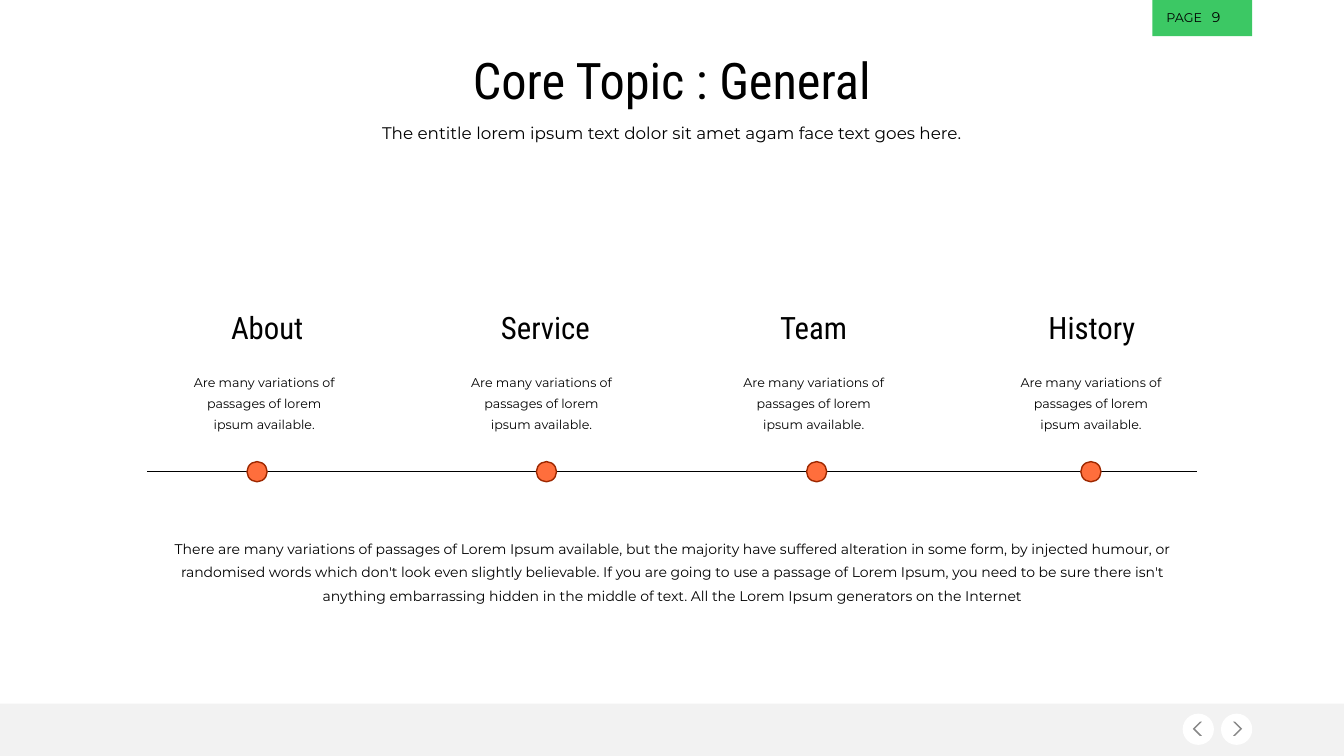
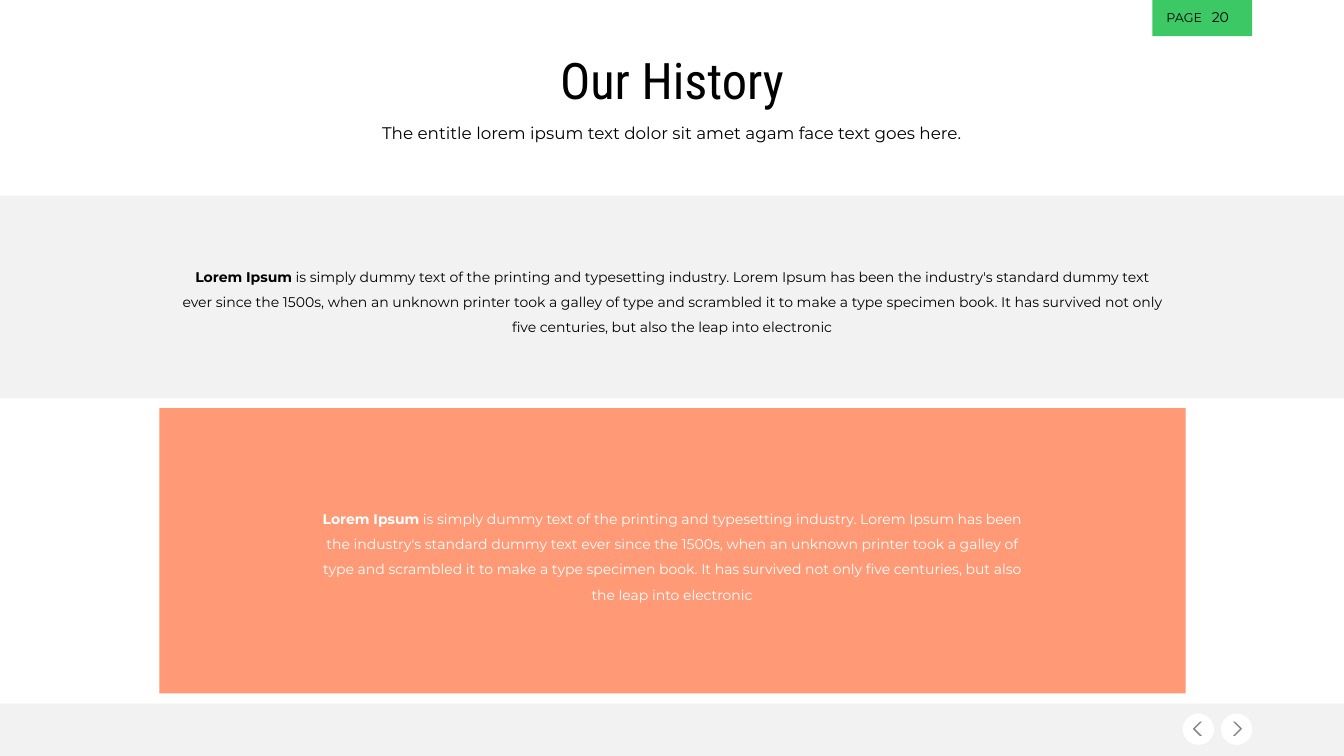
from lxml import etree
from pptx import Presentation
from pptx.dml.color import RGBColor
from pptx.enum.shapes import MSO_CONNECTOR as Connector, MSO_SHAPE as Shape
from pptx.enum.text import MSO_ANCHOR as Anchor, MSO_AUTO_SIZE as AutoSize, PP_ALIGN as Align
from pptx.oxml.ns import qn
from pptx.util import Inches, Pt

# Shared look
WIDTH, HEIGHT = 13.33, 7.5
BLACK = RGBColor(0x00, 0x00, 0x00)
WHITE = RGBColor(0xFF, 0xFF, 0xFF)
GREEN = RGBColor(0x3C, 0xC8, 0x64)
ORANGE = RGBColor(0xFF, 0x6E, 0x3C)
RUST = RGBColor(0x9E, 0x28, 0x00)
GREY = RGBColor(0x87, 0x87, 0x87)
PALE = RGBColor(0xF2, 0xF2, 0xF2)
HEAD_FONT, BODY_FONT = "Roboto Condensed", "Montserrat"
TITLE_FORMAT = {"name": HEAD_FONT, "size": Pt(36)}
HEADING_FORMAT = {"name": HEAD_FONT, "size": Pt(22)}
SUBTITLE_FORMAT = {"size": Pt(12)}
SMALL_FORMAT = {"size": Pt(9)}
BODY_FORMAT = {"size": Pt(10)}

# Content
SUBTITLE = "The entitle lorem ipsum text dolor sit amet agam face text goes here."
MILESTONE_TEXT = "Are many variations of passages of lorem ipsum available."
# heading, then the centres of heading, text and dot
MILESTONES = [
    ("About", 2.65, 2.62, 2.55),
    ("Service", 5.41, 5.37, 5.42),
    ("Team", 8.07, 8.07, 8.1),
    ("History", 10.83, 10.82, 10.82),
]
SUMMARY = (
    "There are many variations of passages of Lorem Ipsum available, but the majority have "
    "suffered alteration in some form, by injected humour, or randomised words which don't "
    "look even slightly believable. If you are going to use a passage of Lorem Ipsum, you need "
    "to be sure there isn't anything embarrassing hidden in the middle of text. All the Lorem "
    "Ipsum generators on the Internet"
)
HISTORY_LEAD = "Lorem Ipsum"
HISTORY_TEXT = (
    " is simply dummy text of the printing and typesetting industry. Lorem Ipsum has been the "
    "industry's standard dummy text ever since the 1500s, when an unknown printer took a galley "
    "of type and scrambled it to make a type specimen book. It has survived not only five "
    "centuries, but also the leap into electronic"
)
# left, top, width, height of band, then of its text; fill, opacity, text colour
HISTORY_BANDS = [
    ((0, 1.94, WIDTH, 2.01), (1.68, 2.53, 9.97, 0.83), PALE, 100, BLACK),
    ((1.58, 4.05, 10.18, 2.83), (3.08, 4.93, 7.17, 1.08), ORANGE, 70, WHITE),
]


def inches(box):
    return [Inches(length) for length in box]


def centred(centre, top, width, height):
    return centre - width / 2, top, width, height


def add_block(slide, kind, box, fill, opacity=100, outline=None):
    shape = slide.shapes.add_shape(kind, *inches(box))
    shape.shadow.inherit = False
    shape.fill.solid()
    shape.fill.fore_color.rgb = fill
    if opacity < 100:
        color = shape._element.spPr.find(qn("a:solidFill"))[0]
        etree.SubElement(color, qn("a:alpha"), val=str(opacity * 1000))
    if outline is None:
        shape.line.fill.background()
    else:
        shape.line.color.rgb = outline
        shape.line.width = Pt(1)
    return shape


def write(shape, runs, font_format, color=BLACK, align=Align.CENTER, anchor=Anchor.TOP, spacing=None):
    """Fill a text frame with one paragraph; runs are (text, bold) pairs."""
    frame = shape.text_frame
    frame.word_wrap = True
    frame.auto_size = AutoSize.NONE
    frame.vertical_anchor = anchor
    paragraph = frame.paragraphs[0]
    paragraph.alignment = align
    paragraph.line_spacing = spacing
    for text, bold in runs:
        run = paragraph.add_run()
        run.text = text
        for name, value in {"name": BODY_FONT, "bold": bold, **font_format}.items():
            setattr(run.font, name, value)
        run.font.color.rgb = color


def add_text(slide, box, text, font_format, **options):
    runs = [(text, False)] if isinstance(text, str) else text
    write(slide.shapes.add_textbox(*inches(box)), runs, font_format, **options)


def add_page(presentation, title, number):
    """Title-only slide with the page tag, footer band and arrow buttons."""
    slide = presentation.slides.add_slide(presentation.slide_layouts[5])

    # Footer and buttons
    add_block(slide, Shape.RECTANGLE, (0, 6.98, WIDTH, HEIGHT - 6.98), BLACK, opacity=5)
    for button_left, arrow_left, rotation in [(12.11, 12.23, 0), (11.73, 11.83, 180)]:
        add_block(slide, Shape.OVAL, (button_left, 7.08, 0.31, 0.31), WHITE)
        arrow = add_block(slide, Shape.CHEVRON, (arrow_left, 7.16, 0.09, 0.14), GREY)
        arrow.adjustments[0] = 0.77
        arrow.rotation = rotation

    # Page tag
    add_block(slide, Shape.RECTANGLE, (11.43, 0, 0.99, 0.36), GREEN)
    add_text(slide, (11.43, 0.07, 0.59, 0.21), "PAGE", SMALL_FORMAT,
             align=Align.RIGHT, anchor=Anchor.MIDDLE)
    add_text(slide, (11.92, 0.06, 0.55, 0.21), str(number), BODY_FORMAT,
             align=Align.LEFT, anchor=Anchor.MIDDLE)

    # Title and subtitle
    heading = slide.shapes.title
    heading.left, heading.top, heading.width, heading.height = inches((0.89, 0.48, 11.55, 0.69))
    write(heading, [(title, False)], TITLE_FORMAT, anchor=Anchor.MIDDLE, spacing=0.9)
    add_text(slide, (0.89, 1.19, 11.55, 0.3), SUBTITLE, SUBTITLE_FORMAT, spacing=0.9)
    return slide


def build_topic(presentation):
    slide = add_page(presentation, "Core Topic : General", 9)

    # Timeline
    axis = 4.68
    line = slide.shapes.add_connector(Connector.STRAIGHT, *inches((1.46, axis, 11.87, axis)))
    line.line.color.rgb = BLACK
    line.line.width = Pt(1)
    etree.SubElement(line._element.spPr, qn("a:effectLst"))
    for heading, heading_centre, text_centre, dot_centre in MILESTONES:
        add_text(slide, centred(heading_centre, 3.01, 1.66, 0.47), heading, HEADING_FORMAT)
        add_text(slide, centred(text_centre, 3.6, 1.68, 0.75), MILESTONE_TEXT, SMALL_FORMAT,
                 anchor=Anchor.MIDDLE, spacing=Pt(15))
        add_block(slide, Shape.OVAL, centred(dot_centre, axis - 0.1, 0.2, 0.2), ORANGE, outline=RUST)

    add_text(slide, (1.5, 5.24, 10.33, 0.79), SUMMARY, BODY_FORMAT, spacing=Pt(17))


def build_history(presentation):
    slide = add_page(presentation, "Our History", 20)
    for band, text_box, fill, opacity, color in HISTORY_BANDS:
        add_block(slide, Shape.RECTANGLE, band, fill, opacity)
        add_text(slide, text_box, [(HISTORY_LEAD, True), (HISTORY_TEXT, False)], BODY_FORMAT,
                 color=color, spacing=1.5)


def main():
    presentation = Presentation()
    presentation.slide_width, presentation.slide_height = inches((WIDTH, HEIGHT))
    build_topic(presentation)
    build_history(presentation)
    presentation.save("out.pptx")


if __name__ == "__main__":
    main()
